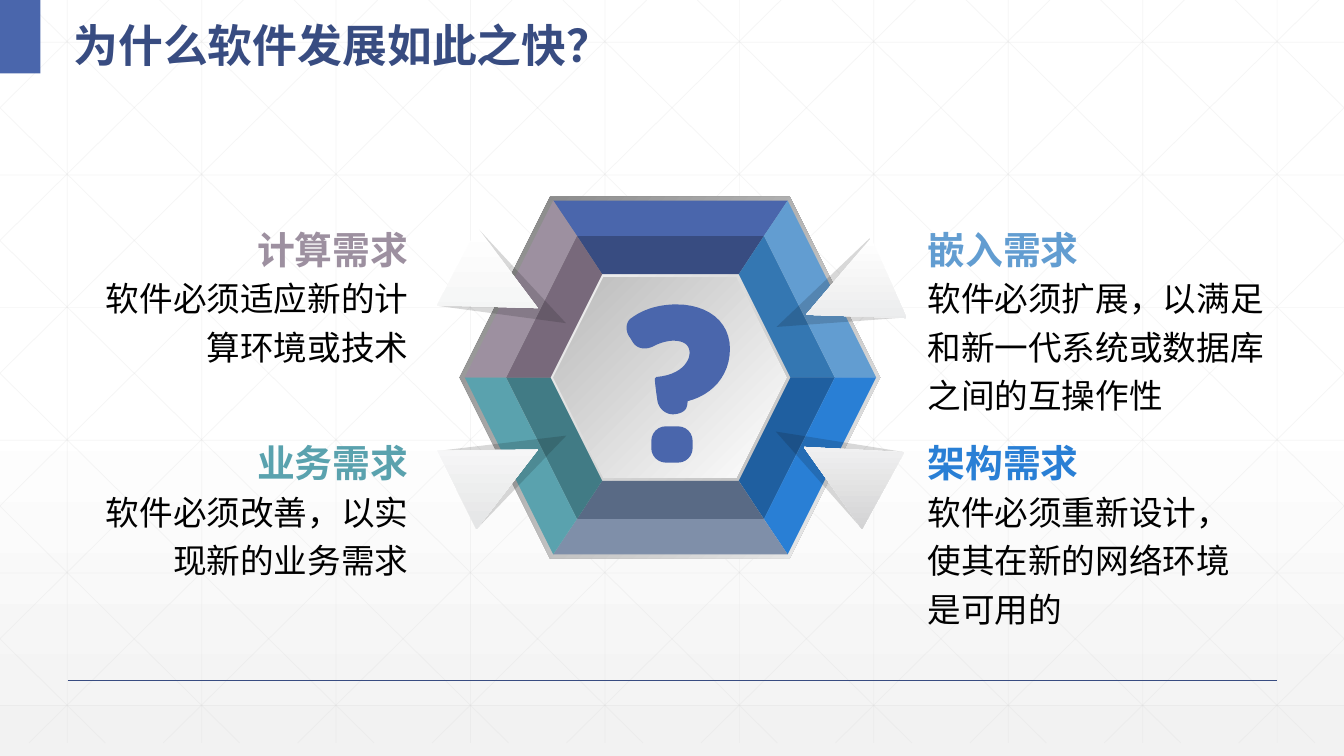
from math import comb

from pptx import Presentation
from pptx.dml.color import RGBColor
from pptx.enum.lang import MSO_LANGUAGE_ID
from pptx.enum.shapes import MSO_CONNECTOR, MSO_SHAPE
from pptx.enum.text import MSO_ANCHOR, PP_ALIGN
from pptx.oxml.ns import qn
from pptx.util import Inches, Pt

STRAIGHT = MSO_CONNECTOR.STRAIGHT
RECTANGLE, ROUNDED = MSO_SHAPE.RECTANGLE, MSO_SHAPE.ROUNDED_RECTANGLE
HEXAGON, TRIANGLE = MSO_SHAPE.HEXAGON, MSO_SHAPE.ISOSCELES_TRIANGLE
LEFT, RIGHT = PP_ALIGN.LEFT, PP_ALIGN.RIGHT
TOP, MIDDLE = MSO_ANCHOR.TOP, MSO_ANCHOR.MIDDLE
CHINESE = MSO_LANGUAGE_ID.SIMPLIFIED_CHINESE

WHITE = RGBColor(0xFF, 0xFF, 0xFF)
BLACK = RGBColor(0, 0, 0)
PALE = RGBColor(0xF2, 0xF2, 0xF2)
GRID = RGBColor(0xD9, 0xD9, 0xD9)
RIM_DARK = RGBColor(0x80, 0x80, 0x80)
LIP_DARK = RGBColor(0xBF, 0xBF, 0xBF)
CORE_DARK = RGBColor(0xBA, 0xBA, 0xBA)
SHADE = RGBColor(0x0D, 0x0D, 0x0D)
BLUE = RGBColor(0x4A, 0x66, 0xAC)
NAVY = RGBColor(0x38, 0x4C, 0x81)
SKY = RGBColor(0x62, 0x9D, 0xD1)
SKY_DARK = RGBColor(0x34, 0x77, 0xB2)
AZURE = RGBColor(0x29, 0x7F, 0xD5)
AZURE_DARK = RGBColor(0x1F, 0x5F, 0xA0)
SLATE = RGBColor(0x7F, 0x8F, 0xA9)
SLATE_DARK = RGBColor(0x59, 0x6A, 0x85)
TEAL = RGBColor(0x5A, 0xA2, 0xAE)
TEAL_DARK = RGBColor(0x41, 0x7B, 0x85)
MAUVE = RGBColor(0x9D, 0x90, 0xA0)
MAUVE_DARK = RGBColor(0x78, 0x69, 0x7B)

WIDTH, HEIGHT, GRID_BOTTOM = 13.33, 7.5, 7.37
GRID_STEP = 4 / 3
GRID_SLOPE = 7.37 / 7.46

RIM = (4.56, 1.95, 4.17, 3.59)
OUTER = (4.61, 1.99, 4.08, 3.51)
MIDDLE_RING = (5.02, 2.34, 3.26, 2.81)
INNER = (5.46, 2.72, 2.38, 2.05)
CORE = (5.49, 2.75, 2.31, 1.99)
OUTER_FACETS = (BLUE, SKY, AZURE, SLATE, TEAL, MAUVE)
INNER_FACETS = (NAVY, SKY_DARK, AZURE_DARK, SLATE_DARK, TEAL_DARK, MAUVE_DARK)

SPIKES = (
    ((7.79, 3.97), (7.93, 4.2), 298.8, RGBColor(0xD3, 0xD3, 0xD4)),
    ((7.82, 2.4), (7.97, 2.49), 246.1, RGBColor(0xE2, 0xE3, 0xE4)),
    ((4.65, 3.99), (4.5, 4.21), 63.5, RGBColor(0xE4, 0xE5, 0xE6)),
    ((4.65, 2.33), (4.5, 2.4), 117.4, RGBColor(0xF0, 0xF1, 0xF1)),
)

HOOK_START = (6.71, 3.02)
HOOK_CURVES = (
    ((7.02, 3.02), (7.24, 3.19), (7.24, 3.46)),
    ((7.24, 3.73), (7.06, 3.92), (6.82, 3.98)),
    ((6.82, 3.98), (6.82, 4.01), (6.81, 4.04)),
    ((6.8, 4.08), (6.74, 4.11), (6.67, 4.11)),
    ((6.6, 4.11), (6.53, 4.05), (6.52, 3.97)),
    ((6.51, 3.9),),
    ((6.5, 3.82), (6.49, 3.75), (6.5, 3.75)),
    ((6.51, 3.74),),
    ((6.75, 3.72), (6.84, 3.59), (6.84, 3.5)),
    ((6.84, 3.42), (6.78, 3.38), (6.68, 3.38)),
    ((6.62, 3.38), (6.55, 3.4), (6.49, 3.43)),
    ((6.42, 3.47), (6.33, 3.47), (6.28, 3.4)),
    ((6.25, 3.35),),
    ((6.2, 3.29), (6.2, 3.19), (6.27, 3.15)),
    ((6.38, 3.07), (6.53, 3.02), (6.71, 3.02)),
)

TITLE = {"size": Pt(32), "bold": True}
HEADING = {"size": Pt(27), "bold": True}
BODY = {"size": Pt(24), "bold": False}
NEEDS = (
    (9.2, 2.26, 3.6, LEFT, SKY, "嵌入需求", "软件必须扩展，以满足和新一代系统或数据库之间的互操作性"),
    (9.2, 4.38, 3.27, LEFT, AZURE, "架构需求", "软件必须重新设计，使其在新的网络环境是可用的"),
    (0.78, 2.26, 3.27, RIGHT, MAUVE, "计算需求", "软件必须适应新的计算环境或技术"),
    (0.78, 4.38, 3.27, RIGHT, TEAL, "业务需求", "软件必须改善，以实现新的业务需求"),
)


def set_alpha(element, percent):
    """Make the solid colour inside an element partly transparent."""
    colour = next(element.iter(qn("a:srgbClr")))
    colour.makeelement(qn("a:alpha"), {})
    alpha = colour.makeelement(qn("a:alpha"), {"val": str(percent * 1000)})
    colour.append(alpha)


def fill_gradient(fill, first, last, angle, start=0):
    """Fill with two colours along a clockwise angle."""
    fill.gradient()
    fill.gradient_angle = (360 - angle) % 360
    for stop, colour, position in zip(fill.gradient_stops, (first, last), (start, 1)):
        stop.color.rgb = colour
        stop.position = position


def finish(shape, colour):
    """Give a shape a plain fill without outline or shadow."""
    shape.shadow.inherit = False
    shape.line.fill.background()
    shape.fill.solid()
    shape.fill.fore_color.rgb = colour
    return shape


def add_preset(slide, kind, box, colour):
    """Add a plain preset shape."""
    return finish(slide.shapes.add_shape(kind, *map(Inches, box)), colour)


def add_polygon(slide, points, colour):
    """Add a closed outline through points in inches."""
    corners = [(Inches(x), Inches(y)) for x, y in points]
    builder = slide.shapes.build_freeform(*corners[0])
    builder.add_line_segments(corners[1:], close=True)
    return finish(builder.convert_to_shape(), colour)


def add_line(slide, start, end, colour, width, alpha=100):
    """Add a straight line between two points in inches."""
    line = slide.shapes.add_connector(STRAIGHT, *map(Inches, (*start, *end)))
    line.line.color.rgb = colour
    line.line.width = Pt(width)
    properties = line._element.spPr
    properties.append(properties.makeelement(qn("a:effectLst"), {}))
    if alpha < 100:
        set_alpha(properties, alpha)


def add_text(slide, box, text, style, colour, align=LEFT, anchor=TOP, spacing=1.0, inset=0.0):
    """Add a wrapped text box with one paragraph."""
    frame = slide.shapes.add_textbox(*map(Inches, box)).text_frame
    margins = {f"margin_{side}": Inches(inset) for side in ("left", "right")}
    margins |= {f"margin_{side}": Inches(inset / 2) for side in ("top", "bottom")}
    for name, value in {"word_wrap": True, "vertical_anchor": anchor, **margins}.items():
        setattr(frame, name, value)
    paragraph = frame.paragraphs[0]
    paragraph.alignment = align
    paragraph.line_spacing = spacing
    run = paragraph.add_run()
    run.text = text
    for name, value in {"name": "Arial", "language_id": CHINESE, **style}.items():
        setattr(run.font, name, value)
    run.font.color.rgb = colour


def add_grid(slide):
    """Draw the faint grid with its two mirrored families of diagonals."""
    lines = [((x, 0), (x, GRID_BOTTOM)) for x in (2 / 3 + GRID_STEP * i for i in range(10))]
    lines += [((0, y), (WIDTH, y)) for y in (0.42 + 1.316 * i for i in range(6))]
    for i in range(-5, 10):
        origin = 0.25 + GRID_STEP * i
        xs = max(origin, 0), min(origin + GRID_BOTTOM / GRID_SLOPE, WIDTH)
        ys = [(x - origin) * GRID_SLOPE for x in xs]
        lines.append(tuple(zip(xs, ys)))
        lines.append(tuple(zip([WIDTH - x for x in xs], ys)))
    for start, end in lines:
        add_line(slide, start, end, GRID, 0.5, 25)


def hexagon_corners(box):
    """List the corners of a hexagon clockwise from the top left."""
    left, top, width, height = box
    right, bottom, middle, cut = left + width, top + height, top + height / 2, height / 4
    return [(left + cut, top), (right - cut, top), (right, middle),
            (right - cut, bottom), (left + cut, bottom), (left, middle)]


def add_facets(slide, outside, inside, colours):
    """Fill the band between two hexagons, one facet per side."""
    outer, inner = hexagon_corners(outside), hexagon_corners(inside)
    for i, colour in enumerate(colours):
        after = (i + 1) % 6
        add_polygon(slide, (outer[i], outer[after], inner[after], inner[i]), colour)


def add_spike(slide, shade_at, spike_at, rotation, tint):
    """Add a pointer towards the centre with its translucent shade."""
    shade = add_preset(slide, TRIANGLE, (*shade_at, 0.86, 1.2), SHADE)
    set_alpha(shade._element.spPr, 16)
    spike = add_preset(slide, TRIANGLE, (*spike_at, 0.87, 0.9), WHITE)
    fill_gradient(spike.fill, WHITE, tint, 90)
    spike._element.spPr.find(qn("a:gradFill")).set("rotWithShape", "0")
    shade.rotation = spike.rotation = rotation


def add_question_mark(slide):
    """Draw the question mark as a smooth hook above a rounded dot."""
    dot = add_preset(slide, ROUNDED, (6.46, 4.23, 0.41, 0.36), BLUE)
    dot.adjustments[0] = 0.4
    points = [HOOK_START]
    for curve in HOOK_CURVES:
        controls = (points[-1], *curve)
        degree = len(curve)
        steps = 12 if degree > 1 else 1
        for t in (step / steps for step in range(1, steps + 1)):
            weights = [comb(degree, k) * t**k * (1 - t) ** (degree - k) for k in range(degree + 1)]
            points.append(tuple(sum(w * c[axis] for w, c in zip(weights, controls)) for axis in (0, 1)))
    add_polygon(slide, points, BLUE)


def main():
    """Build the slide and save it."""
    deck = Presentation()
    deck.slide_width, deck.slide_height = Inches(WIDTH), Inches(HEIGHT)
    slide = deck.slides.add_slide(deck.slide_layouts[6])
    fill_gradient(slide.background.fill, WHITE, PALE, 90, 0.53)
    add_grid(slide)
    add_line(slide, (0.67, 6.75), (12.67, 6.75), NAVY, 1)
    add_preset(slide, RECTANGLE, (0, 0, 0.4, 0.73), BLUE)
    add_text(slide, (0.63, 0, 5.69, 0.73), "为什么软件发展如此之快？", TITLE, NAVY,
             anchor=MIDDLE, spacing=1.3, inset=0.1)
    for box, first, last, angle in ((RIM, RIM_DARK, PALE, 45), (INNER, LIP_DARK, PALE, 225),
                                    (CORE, WHITE, CORE_DARK, 225)):
        fill_gradient(add_preset(slide, HEXAGON, box, PALE).fill, first, last, angle)
    add_facets(slide, MIDDLE_RING, INNER, INNER_FACETS)
    add_facets(slide, OUTER, MIDDLE_RING, OUTER_FACETS)
    for spike in SPIKES:
        add_spike(slide, *spike)
    add_question_mark(slide)
    for left, top, width, align, colour, heading, body in NEEDS:
        add_text(slide, (left, top, 3.27, 0.42), heading, HEADING, colour, align, MIDDLE)
        add_text(slide, (left, top + 0.42, width, 1.44), body, BODY, BLACK, align, spacing=1.2)
    deck.save("out.pptx")


if __name__ == "__main__":
    main()
